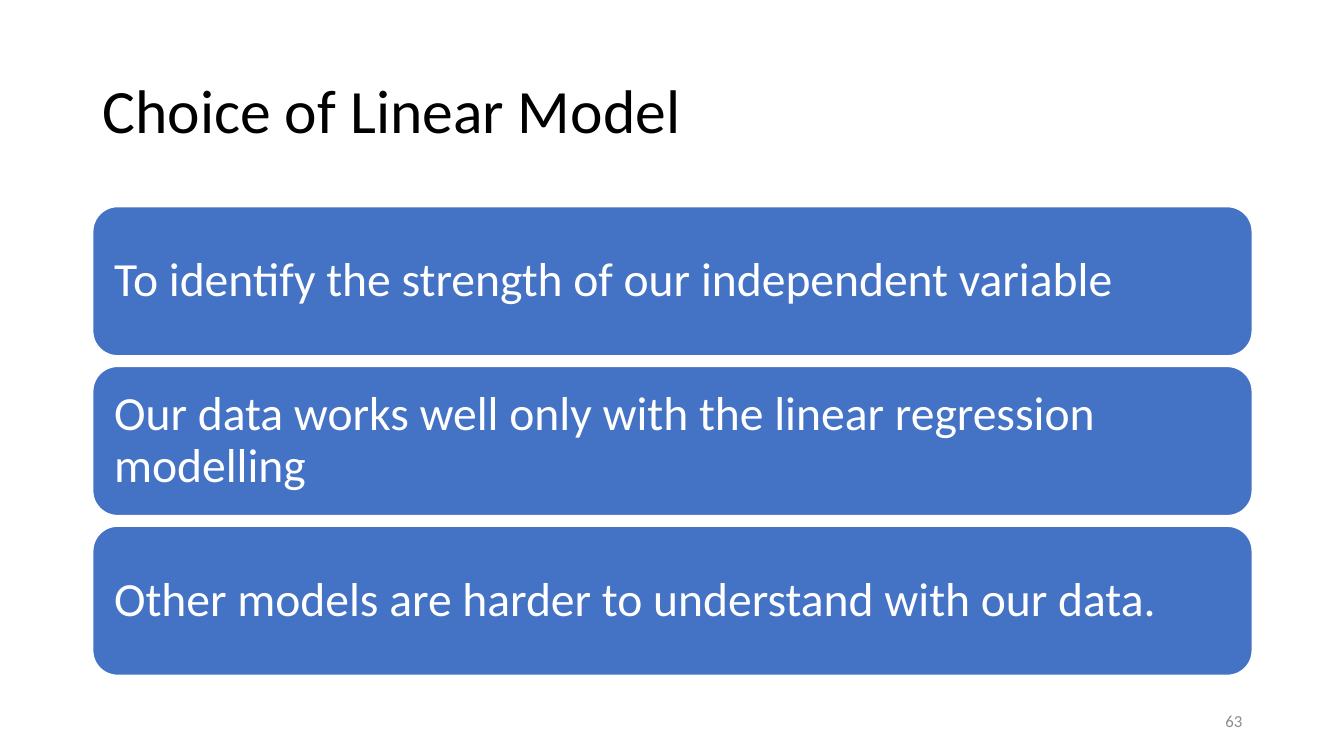
from pptx import Presentation
from pptx.dml.color import RGBColor
from pptx.enum.shapes import MSO_SHAPE as Shape
from pptx.enum.text import MSO_ANCHOR as Anchor, PP_ALIGN as Align
from pptx.util import Inches, Pt

TITLE = "Choice of Linear Model"
REASONS = [
    "To identify the strength of our independent variable",
    "Our data works well only with the linear regression modelling",
    "Other models are harder to understand with our data.",
]
PAGE = "63"
COLORS = {"title": "000000", "card": "4472C4", "white": "FFFFFF", "page": "8C8C8C"}
FONT = "Calibri"

WIDTH, HEIGHT = 13.33, 7.5
LEFT, CONTENT_WIDTH = 0.92, 11.5
CARD_TOP, CARD_HEIGHT, CARD_PITCH = 2.05, 1.48, 1.585
CARD_INSET = 0.14
PAGE_WIDTH = 3


def write(holder, words, size, color, align=Align.LEFT, spacing=1.0):
    frame = holder.text_frame
    frame.text = words
    frame.word_wrap = True
    frame.vertical_anchor = Anchor.MIDDLE
    paragraph = frame.paragraphs[0]
    paragraph.alignment = align
    paragraph.line_spacing = spacing
    font = paragraph.runs[0].font
    font.name, font.size = FONT, Pt(size)
    font.color.rgb = RGBColor.from_string(COLORS[color])


def add_reason(slide, row, reason):
    card = slide.shapes.add_shape(
        Shape.ROUNDED_RECTANGLE, Inches(LEFT), Inches(CARD_TOP + row * CARD_PITCH),
        Inches(CONTENT_WIDTH), Inches(CARD_HEIGHT))
    card.shadow.inherit = False
    card.fill.solid()
    card.fill.fore_color.rgb = RGBColor.from_string(COLORS["card"])
    card.line.color.rgb = RGBColor.from_string(COLORS["white"])
    card.line.width = Pt(1)
    frame = card.text_frame
    frame.margin_left = frame.margin_right = Inches(CARD_INSET)
    frame.margin_top = frame.margin_bottom = Inches(CARD_INSET)
    write(card, reason, 34, "white", spacing=0.9)


def main():
    deck = Presentation()
    deck.slide_width, deck.slide_height = Inches(WIDTH), Inches(HEIGHT)
    slide = deck.slides.add_slide(deck.slide_layouts[6])

    title = slide.shapes.add_textbox(
        Inches(LEFT), Inches(0.4), Inches(CONTENT_WIDTH), Inches(1.45))
    write(title, TITLE, 44, "title", spacing=0.9)

    for row, reason in enumerate(REASONS):
        add_reason(slide, row, reason)

    page = slide.shapes.add_textbox(
        Inches(LEFT + CONTENT_WIDTH - PAGE_WIDTH), Inches(6.95),
        Inches(PAGE_WIDTH), Inches(0.4))
    write(page, PAGE, 12, "page", Align.RIGHT)

    deck.save("out.pptx")


if __name__ == "__main__":
    main()
